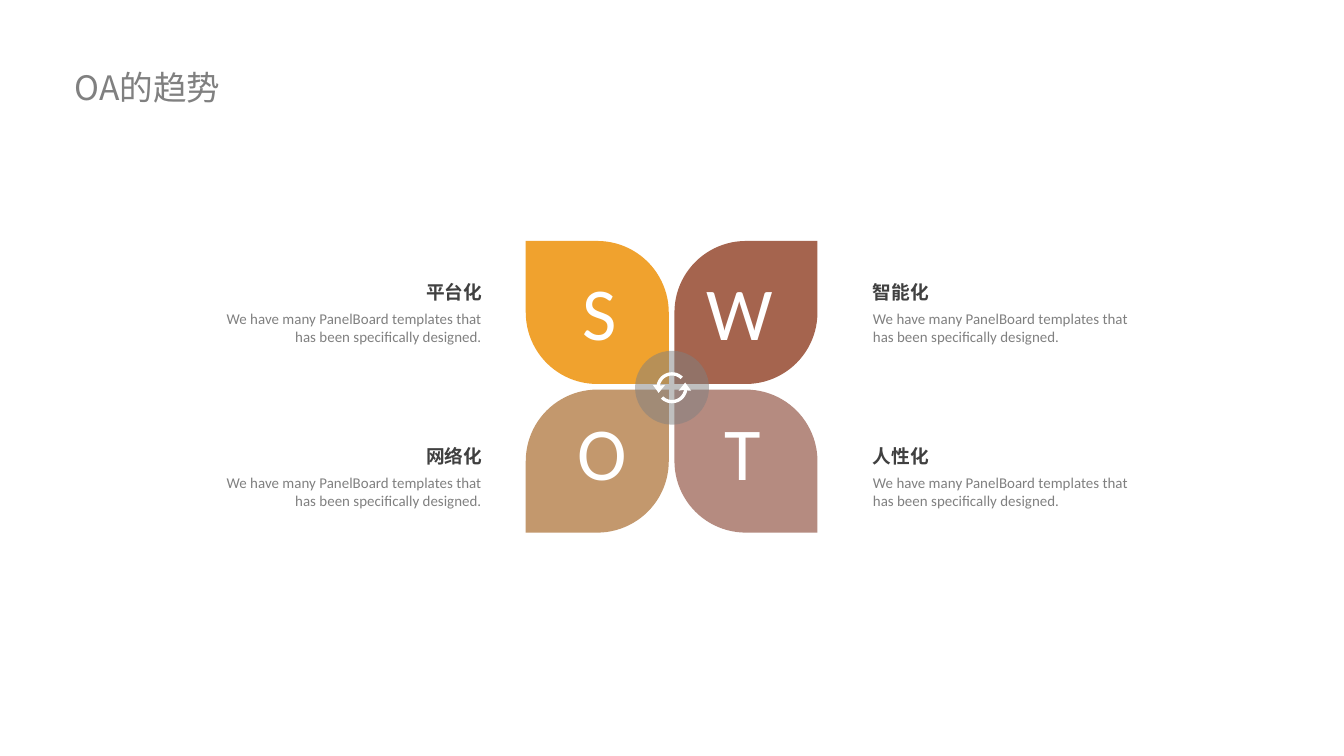
"""Build a four-leaf SWOT slide on a grid of square cells, 100 to the slide width."""
from collections import namedtuple
from dataclasses import dataclass
from math import cos, radians, sin

from lxml import etree
from pptx import Presentation, util as u
from pptx.dml.color import RGBColor
from pptx.enum import shapes, text
from pptx.oxml.ns import qn

WIDE = u.Inches(10)
HIGH = u.Emu(WIDE * 9 // 16)
CELL = WIDE // 100
Box = namedtuple("Box", "x y w h")
Item = namedtuple("Item", "mark dx dy color head")


@dataclass(frozen=True)
class Theme:
    """Colours, fonts and type sizes."""
    white: str = "FFFFFF"
    gray: str = "808080"
    dark: str = "404040"
    latin: str = "Calibri"
    asian: str = "Noto Sans CJK SC"
    title: int = 18
    mark: int = 40
    head: int = 10
    body: int = 8


T = Theme()
NOTE = "We have many PanelBoard templates that has been specifically designed."
ITEMS = (
    Item("S", 0.15, -0.1, "F0A22E", "平台化"),
    Item("W", -0.45, -0.1, "A5644E", "智能化"),
    Item("O", 0.4, -0.75, "C3986D", "网络化"),
    Item("T", -0.25, -0.75, "B58B80", "人性化"),
)


def span(box):
    """Turn a box in cells into lengths."""
    return [u.Emu(round(v * CELL)) for v in box]


def paint(shape, color):
    """Give a shape a flat fill without line or shadow."""
    shape.shadow.inherit = False
    shape.fill.solid()
    shape.fill.fore_color.rgb = RGBColor.from_string(color)
    shape.line.fill.background()


def frame(shape, wrap=True):
    """Clear the margins of a text frame and return it."""
    body = shape.text_frame
    body.margin_left = body.margin_right = body.margin_top = body.margin_bottom = 0
    body.word_wrap = wrap
    body.auto_size = text.MSO_AUTO_SIZE.NONE
    return body


def style(para, size, color, align, bold=False, latin=T.latin):
    """Format a whole paragraph."""
    para.alignment = align
    font = para.font
    font.size, font.bold, font.name = u.Pt(size), bold, latin
    font.color.rgb = RGBColor.from_string(color)
    props = para._p.get_or_add_pPr().find(qn("a:defRPr"))
    etree.SubElement(props, qn("a:ea"), typeface=T.asian)


def title(slide, box, words):
    """Place the slide title."""
    shape = slide.shapes.title
    shape.left, shape.top, shape.width, shape.height = span(box)
    body = frame(shape)
    body.vertical_anchor = text.MSO_ANCHOR.MIDDLE
    body.text = words
    style(body.paragraphs[0], T.title, T.gray, text.PP_ALIGN.LEFT, latin=T.asian)


def leaf(slide, box, item, flip):
    """Draw one petal."""
    shape = slide.shapes.add_shape(
        shapes.MSO_SHAPE.ROUND_2_DIAG_RECTANGLE, *span(box))
    shape.adjustments[0], shape.adjustments[1] = (0.5, 0) if flip else (0, 0.5)
    paint(shape, item.color)


def letter(slide, box, item):
    """Set the large letter near the middle of a petal."""
    wide, high = 5, 6.7
    spot = Box(box.x + (box.w - wide) / 2 + item.dx,
               box.y + (box.h - high) / 2 + item.dy, wide, high)
    body = frame(slide.shapes.add_textbox(*span(spot)), wrap=False)
    body.text = item.mark
    style(body.paragraphs[0], T.mark, T.white, text.PP_ALIGN.CENTER)


def petals(slide, box, gap):
    """Lay four lettered petals out two by two."""
    side = (box.w - gap) / 2
    cells = []
    for n, item in enumerate(ITEMS):
        row, col = divmod(n, 2)
        cell = Box(box.x + col * (side + gap), box.y + row * (side + gap), side, side)
        leaf(slide, cell, item, row != col)
        cells.append(cell)
    for cell, item in zip(cells, ITEMS):
        letter(slide, cell, item)


def arrow(turn):
    """List the points of one curved arrow, as shares of the hub, turned by 1 or -1."""
    arc = [(cos(radians(a)), sin(radians(a))) for a in range(10, 136, 5)]
    outer = [(0.21 * x, 0.21 * y) for x, y in reversed(arc)]
    inner = [(0.165 * x, 0.165 * y) for x, y in arc]
    tip = [(0.26, 0.04), (0.18, -0.07), (0.09, 0.04)]
    return [(turn * x, turn * y) for x, y in outer + tip + inner]


def hub(slide, box):
    """Draw the clear disc with its two circling arrows."""
    disc = slide.shapes.add_shape(shapes.MSO_SHAPE.OVAL, *span(box))
    paint(disc, T.gray)
    color = disc.fill._xPr.find(qn("a:solidFill"))[0]
    etree.SubElement(color, qn("a:alpha"), val="50000")
    mid = box.x + box.w / 2, box.y + box.h / 2
    loops = [[((mid[0] + x * box.w) * CELL, (mid[1] + y * box.h) * CELL)
              for x, y in arrow(turn)] for turn in (1, -1)]
    pen = slide.shapes.build_freeform(*loops[0][0])
    pen.add_line_segments(loops[0][1:])
    pen.move_to(*loops[1][0])
    pen.add_line_segments(loops[1][1:])
    paint(pen.convert_to_shape(), T.white)


def label(slide, box, head, align):
    """Write a heading with its note."""
    body = frame(slide.shapes.add_textbox(*span(box)))
    body.text = f"{head}\n{NOTE}"
    first, last = body.paragraphs
    style(first, T.head, T.dark, align, bold=True)
    style(last, T.body, T.gray, align)
    first.line_spacing = 1.2
    first.space_before = last.space_before = u.Pt(3)


def labels(slide, box, wide, high):
    """Put the labels in the corners of a box."""
    for n, item in enumerate(ITEMS):
        row, col = divmod(n, 2)
        spot = Box(box.x + col * (box.w - wide), box.y + row * (box.h - high), wide, high)
        align = text.PP_ALIGN.LEFT if col else text.PP_ALIGN.RIGHT
        label(slide, spot, item.head, align)


def main():
    """Build and save the slide."""
    deck = Presentation()
    deck.slide_width, deck.slide_height = WIDE, HIGH
    slide = deck.slides.add_slide(deck.slide_layouts[5])
    petals(slide, Box(39.12, 17.93, 21.7, 21.7), 0.42)
    hub(slide, Box(47.25, 26.1, 5.5, 5.5))
    labels(slide, Box(15.35, 20.6, 70.1, 17.3), 20.5, 5.1)
    title(slide, Box(5.55, 5, 23.6, 3), "OA的趋势")
    deck.save("out.pptx")


if __name__ == "__main__":
    main()
